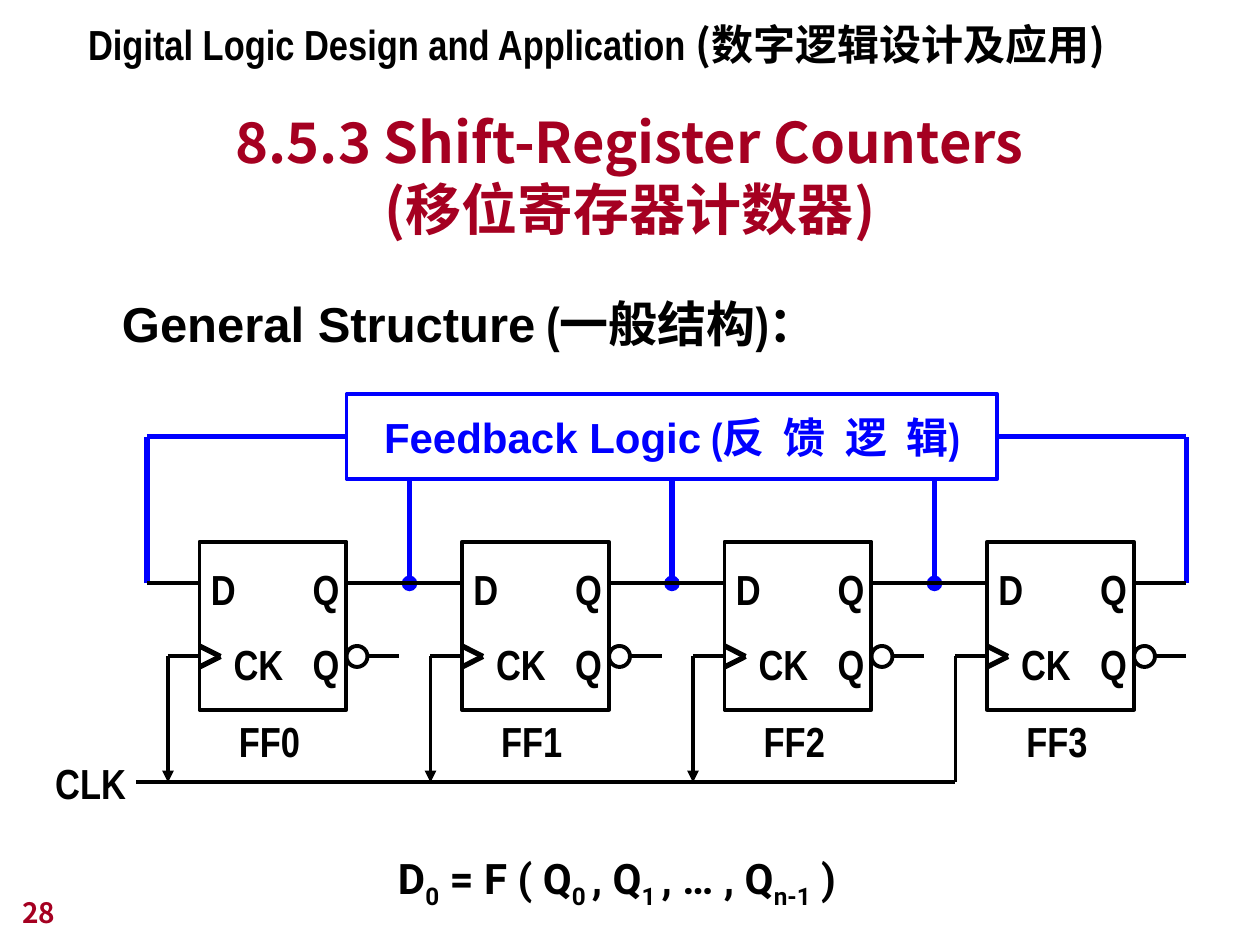
from lxml.etree import SubElement
from pptx import Presentation
from pptx.dml.color import RGBColor
from pptx.enum.shapes import MSO_CONNECTOR, MSO_SHAPE
from pptx.enum.text import MSO_ANCHOR as Anchor
from pptx.enum.text import MSO_AUTO_SIZE as AutoSize
from pptx.enum.text import PP_ALIGN as Align
from pptx.oxml.ns import qn
from pptx.util import Inches, Pt

BLACK = RGBColor(0x00, 0x00, 0x00)
BLUE = RGBColor(0x00, 0x00, 0xFF)
RED = RGBColor(0xA5, 0x00, 0x21)
SANS, NARROW = "Arial", "Arial Narrow"
CJK, FORMULA = "Noto Sans CJK JP", "Roboto"

# Flip-flop grid, in inches
STAGES = 4
FIRST_LEFT, PITCH = 19 / 12, 25 / 12
FF_TOP, FF_WIDTH, FF_HEIGHT = 4.3, 7 / 6, 4 / 3
DATA_Y, CLOCK_Y, BUS_Y = 4.63, 5.21, 6.21
LEAD, CLOCK_LEAD, BUBBLE = 5 / 12, 0.25, 1 / 6
LABEL_WIDTH = 0.74
FEEDBACK_LEFT, FEEDBACK_TOP = 2.75, 3.13
FEEDBACK_WIDTH, FEEDBACK_HEIGHT = 31 / 6, 0.67


def style_run(span, size, font, color):
    span.font.size = Pt(size)
    span.font.name = font
    span.font.bold = True
    span.font.color.rgb = color
    SubElement(span.font._element, qn("a:ea"), typeface=CJK)


def add_runs(para, parts, size, color):
    """Add (text, font, attributes) parts; attributes go on the run properties."""
    for text, font, attributes in parts:
        span = para.add_run()
        span.text = text
        style_run(span, size, font, color)
        for name, value in attributes.items():
            span.font._element.set(name, str(value))


def add_text(slide, left, top, width, height, parts, size=24, color=BLACK,
             wrap=False, fit=AutoSize.SHAPE_TO_FIT_TEXT):
    box = slide.shapes.add_textbox(
        Inches(left), Inches(top), Inches(width), Inches(height))
    frame = box.text_frame
    frame.word_wrap = wrap
    frame.auto_size = fit
    add_runs(frame.paragraphs[0], parts, size, color)
    return box


def add_outline(slide, kind, left, top, width, height, color=BLACK):
    shape = slide.shapes.add_shape(
        kind, Inches(left), Inches(top), Inches(width), Inches(height))
    shape.shadow.inherit = False
    shape.fill.background()
    shape.line.color.rgb = color
    shape.line.width = Pt(2.25)
    return shape


def add_wire(slide, start, end, color=BLACK, width=2.25, head=None, tail=None):
    wire = slide.shapes.add_connector(
        MSO_CONNECTOR.STRAIGHT, *(Inches(value) for value in (*start, *end)))
    wire.line.color.rgb = color
    wire.line.width = Pt(width)
    line = wire.line._get_or_add_ln()
    for tag, kind in (("a:headEnd", head), ("a:tailEnd", tail)):
        if kind:
            SubElement(line, qn(tag), type=kind)
    SubElement(wire._element.spPr, qn("a:effectLst"))
    return wire


def add_tabs(para, stops):
    tabs = SubElement(para._p.get_or_add_pPr(), qn("a:tabLst"))
    for position, side in stops:
        SubElement(tabs, qn("a:tab"), pos=str(Inches(position)), algn=side)


def add_title(slide):
    title = slide.shapes.title
    title.left, title.top = Inches(0.75), Inches(0.68)
    title.width, title.height = Inches(8.5), Inches(1.29)
    frame = title.text_frame
    frame.text = "8.5.3 Shift-Register Counters\v(移位寄存器计数器)"
    frame.auto_size = AutoSize.NONE
    frame.vertical_anchor = Anchor.BOTTOM
    para = frame.paragraphs[0]
    para.alignment = Align.CENTER
    for span in para.runs:
        style_run(span, 32, CJK, RED)


def add_feedback(slide):
    box = add_outline(slide, MSO_SHAPE.RECTANGLE, FEEDBACK_LEFT, FEEDBACK_TOP,
                      FEEDBACK_WIDTH, FEEDBACK_HEIGHT, BLUE)
    frame = box.text_frame
    frame.word_wrap = False
    frame.vertical_anchor = Anchor.MIDDLE
    frame.paragraphs[0].alignment = Align.CENTER
    add_runs(frame.paragraphs[0], [
        ("Feedback Logic", SANS, {}),
        (" (", NARROW, {}),
        ("反 馈 逻 ", NARROW, {"spc": 280}),
        ("辑)", NARROW, {}),
    ], 24, BLUE)

    middle = FEEDBACK_TOP + FEEDBACK_HEIGHT / 2
    bottom = FEEDBACK_TOP + FEEDBACK_HEIGHT
    right = FEEDBACK_LEFT + FEEDBACK_WIDTH
    first_input = FIRST_LEFT - LEAD
    last_output = FIRST_LEFT + (STAGES - 1) * PITCH + FF_WIDTH + LEAD
    for x, edge, site in ((first_input, FEEDBACK_LEFT, 1), (last_output, right, 3)):
        add_wire(slide, (x, DATA_Y), (x, middle), BLUE, 3)
        add_wire(slide, (x, middle), (edge, middle), BLUE, 3).end_connect(box, site)
    for stage in range(1, STAGES):
        x = first_input + stage * PITCH
        tap = add_wire(slide, (x, DATA_Y), (x, bottom), BLUE, 3, head="oval")
        if stage == STAGES // 2:
            tap.end_connect(box, 2)


def add_flip_flop(slide, stage):
    left = FIRST_LEFT + stage * PITCH
    right = left + FF_WIDTH
    last = stage == STAGES - 1
    box = add_outline(slide, MSO_SHAPE.RECTANGLE, left, FF_TOP, FF_WIDTH, FF_HEIGHT)
    frame = box.text_frame
    frame.margin_left, frame.margin_right = Inches(0.09), Inches(0.05)
    frame.vertical_anchor = Anchor.TOP
    pins = (("D\tQ", 1.3, [(1.02, "r")]),
            ("\tCK\tQ", 1.5, [(0.18, "l"), (1.02, "r")]))
    for index, (text, spacing, stops) in enumerate(pins):
        para = frame.add_paragraph() if index else frame.paragraphs[0]
        para.alignment = Align.LEFT
        para.line_spacing = spacing
        add_tabs(para, stops)
        add_runs(para, [(text, NARROW, {})], 24, BLACK)

    half = BUBBLE / 2
    tip = (left + BUBBLE, CLOCK_Y)
    add_wire(slide, (left, CLOCK_Y - half), tip, width=3)
    add_wire(slide, tip, (left, CLOCK_Y + half), width=3)
    clock_x = left - CLOCK_LEAD
    add_wire(slide, (left - LEAD, DATA_Y), (left, DATA_Y))
    add_wire(slide, (clock_x, CLOCK_Y), (left, CLOCK_Y))
    add_wire(slide, (right, DATA_Y), (right + (LEAD if last else 2 / 3), DATA_Y))
    add_wire(slide, (right + BUBBLE, CLOCK_Y), (right + LEAD, CLOCK_Y))
    add_outline(slide, MSO_SHAPE.OVAL, right, CLOCK_Y - half, BUBBLE, BUBBLE)
    add_wire(slide, (clock_x, CLOCK_Y), (clock_x, BUS_Y),
             tail=None if last else "triangle")
    add_text(slide, left + (FF_WIDTH - LABEL_WIDTH) / 2, 5.63, LABEL_WIDTH, 0.5,
             [(f"FF{stage}", NARROW, {})])


def add_clock_bus(slide):
    end = FIRST_LEFT + (STAGES - 1) * PITCH - CLOCK_LEAD
    add_wire(slide, (1.08, BUS_Y), (end, BUS_Y))
    add_text(slide, 0.34, 5.96, 0.76, 0.5, [("CLK", NARROW, {})])


def add_formula(slide):
    pieces = ("D", "0", " = F ( Q", "0 ", ", Q", "1 ", ", … , Q", "n-1", " )")
    parts = [(text, FORMULA, {"baseline": -25000} if index % 2 else {})
             for index, text in enumerate(pieces)]
    add_text(slide, 3.06, 6.72, 3.92, 0.56, parts)


def main():
    deck = Presentation()
    deck.slide_width, deck.slide_height = Inches(10), Inches(7.5)
    slide = deck.slides.add_slide(deck.slide_layouts[5])
    add_title(slide)
    add_formula(slide)
    add_feedback(slide)
    for stage in range(STAGES):
        add_flip_flop(slide, stage)
    add_clock_bus(slide)
    add_text(slide, 0.87, 2.28, 6, 0.57, [
        ("General Structure", SANS, {}), (" (一般结构)：", NARROW, {})], size=28)
    add_text(slide, 0.6, 0.1, 8.41, 0.5, [
        ("Digital Logic Design and Application ", NARROW, {}),
        ("(数字逻辑设计及应用)", CJK, {})], wrap=True)
    number = add_text(slide, 0.08, 6.92, 2.08, 0.5, [("28", CJK, {})],
                      size=16, color=RED, wrap=True, fit=AutoSize.NONE)
    number.text_frame.vertical_anchor = Anchor.BOTTOM
    deck.save("out.pptx")


if __name__ == "__main__":
    main()
